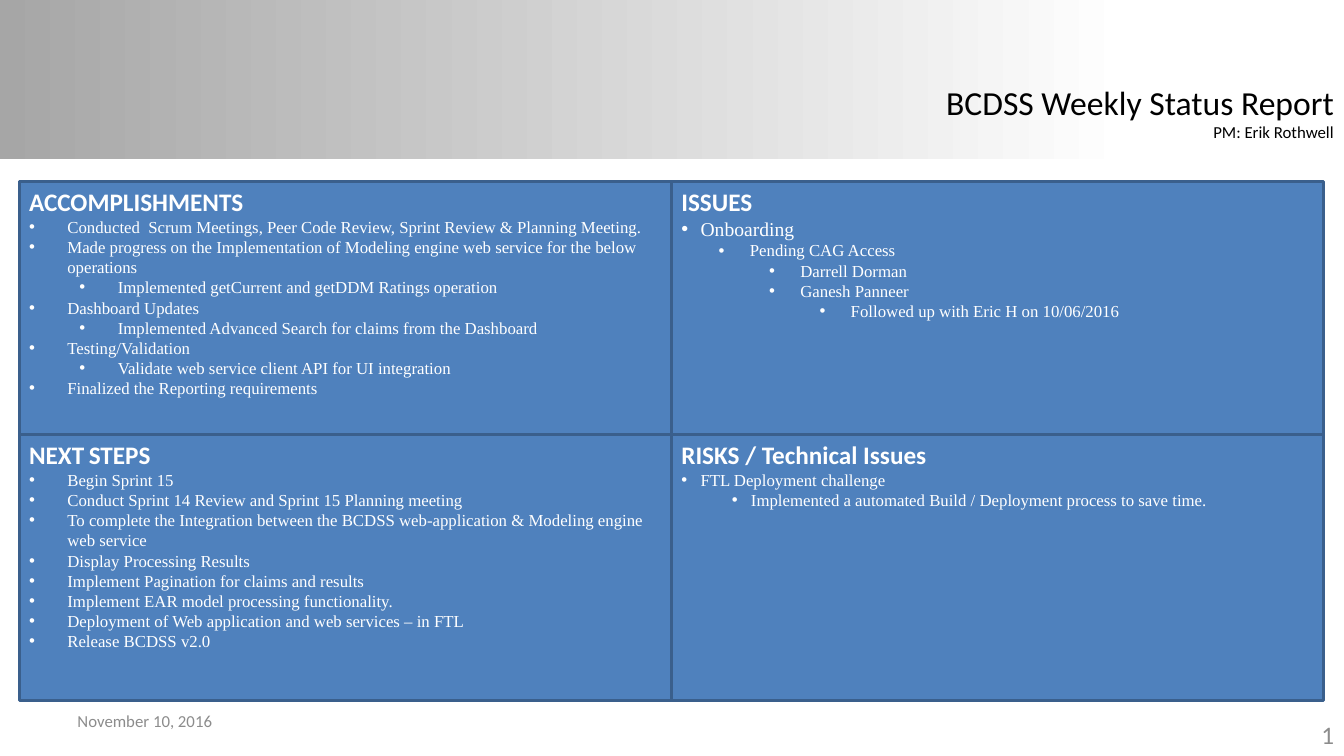
from dataclasses import dataclass

from lxml.etree import SubElement
from pptx import Presentation
from pptx.dml.color import RGBColor
from pptx.enum.shapes import MSO_SHAPE as Preset
from pptx.enum.text import MSO_ANCHOR as Anchor, MSO_AUTO_SIZE as AutoSize, PP_ALIGN as Align
from pptx.oxml.ns import qn
from pptx.slide import Slide
from pptx.text.text import TextFrame, _Paragraph as Paragraph
from pptx.util import Inches, Pt

WIDTH, HEIGHT = 13.33, 7.5
COLUMNS = (0.19, 6.66, 13.13)
ROWS = (1.8, 4.31, 6.95)
HEADING_FONT, BODY_FONT = "Calibri", "Times New Roman"
WHITE, BLACK, GRAY = "FFFFFF", "000000", "8C8C8C"
PANEL_FILL, PANEL_LINE, BAND_START = "4F81BD", "3A5F8C", "A6A6A6"
LEVEL_STEP = 0.5


@dataclass(frozen=True)
class Span:
    text: str
    size: float = 18


@dataclass(frozen=True)
class Item:
    text: str
    level: int = 0
    size: float = 12
    hang: float = 0.38
    base: float = 0.38


@dataclass(frozen=True)
class Panel:
    column: int
    row: int
    heading: tuple[Span, ...]
    items: tuple[Item, ...]


@dataclass(frozen=True)
class Footer:
    text: str
    left: float
    top: float
    size: float
    align: Align


PANELS = (
    Panel(0, 0, (Span("ACCOMPLISHMENTS"),), (
        Item("Conducted  Scrum Meetings, Peer Code Review, Sprint Review & Planning Meeting."),
        Item("Made progress on the Implementation of Modeling engine web service for the below operations"),
        Item("Implemented getCurrent and getDDM Ratings operation", 1),
        Item("Dashboard Updates"),
        Item("Implemented Advanced Search for claims from the Dashboard", 1),
        Item("Testing/Validation"),
        Item("Validate web service client API for UI integration", 1),
        Item("Finalized the Reporting requirements"),
    )),
    Panel(0, 1, (Span("NEXT"), Span(" ", 14), Span("STEPS")), (
        Item("Begin Sprint 15"),
        Item("Conduct Sprint 14 Review and Sprint 15 Planning meeting"),
        Item("To complete the Integration between the BCDSS web-application & Modeling engine web service"),
        Item("Display Processing Results"),
        Item("Implement Pagination for claims and results"),
        Item("Implement EAR model processing functionality."),
        Item("Deployment of Web application and web services – in FTL"),
        Item("Release BCDSS v2.0"),
    )),
    Panel(1, 0, (Span("ISSUES"),), (
        Item("Onboarding", size=14, hang=0.19, base=0.19),
        Item("Pending CAG Access", 1, hang=0.31, base=0.18),
        Item("Darrell Dorman", 2, hang=0.31, base=0.18),
        Item("Ganesh Panneer", 2, hang=0.31, base=0.18),
        Item("Followed up with Eric H on 10/06/2016", 3, hang=0.31, base=0.18),
    )),
    Panel(1, 1, (Span("RISKS / Technical Issues"),), (
        Item("FTL Deployment challenge", hang=0.19, base=0.19),
        Item("Implemented a automated Build / Deployment process to save time.", 1, hang=0.19, base=0.19),
    )),
)

FOOTERS = (
    Footer("November 10, 2016", 0.67, 6.95, 12, Align.LEFT),
    Footer("1", 10.22, 7.09, 18, Align.RIGHT),
)


def color(value: str) -> RGBColor:
    return RGBColor.from_string(value)


def add_span(para: Paragraph, text: str, size: float, font: str, ink: str, bold: bool = False) -> None:
    span = para.add_run()
    span.text = text
    span.font.size = Pt(size)
    span.font.name = font
    span.font.bold = bold
    span.font.color.rgb = color(ink)


def add_item(frame: TextFrame, item: Item) -> None:
    para = frame.add_paragraph()
    para.alignment = Align.LEFT
    para.level = item.level
    properties = para._p.get_or_add_pPr()
    properties.set("marL", str(Inches(item.base + item.level * LEVEL_STEP)))
    properties.set("indent", str(-Inches(item.hang)))
    SubElement(properties, qn("a:buFont")).set("typeface", "Arial")
    SubElement(properties, qn("a:buChar")).set("char", "•")
    add_span(para, item.text, item.size, BODY_FONT, WHITE)


def add_panel(page: Slide, panel: Panel) -> None:
    left, right = COLUMNS[panel.column:panel.column + 2]
    top, bottom = ROWS[panel.row:panel.row + 2]
    box = page.shapes.add_shape(
        Preset.RECTANGLE, Inches(left), Inches(top), Inches(right - left), Inches(bottom - top))
    box.shadow.inherit = False
    box.fill.solid()
    box.fill.fore_color.rgb = color(PANEL_FILL)
    box.line.color.rgb = color(PANEL_LINE)
    box.line.width = Pt(2)
    frame = box.text_frame
    frame.word_wrap = True
    frame.vertical_anchor = Anchor.TOP
    heading = frame.paragraphs[0]
    heading.alignment = Align.LEFT
    for span in panel.heading:
        add_span(heading, span.text, span.size, HEADING_FONT, WHITE, bold=True)
    for item in panel.items:
        add_item(frame, item)


def add_header(page: Slide) -> None:
    band = page.shapes.add_shape(Preset.RECTANGLE, 0, 0, Inches(WIDTH), Inches(1.58))
    band.shadow.inherit = False
    band.line.fill.background()
    band.fill.gradient()
    band.fill.gradient_angle = 0
    for stop, position, ink in zip(band.fill.gradient_stops, (0, 0.84), (BAND_START, WHITE)):
        stop.position = position
        stop.color.rgb = color(ink)

    title = page.shapes.title
    title.element.addprevious(band.element)
    title.left, title.top = Inches(9.25), Inches(0.76)
    title.width, title.height = Inches(4.08), Inches(0.71)
    frame = title.text_frame
    frame.word_wrap = False
    frame.auto_size = AutoSize.SHAPE_TO_FIT_TEXT
    frame.vertical_anchor = Anchor.TOP
    lines = (Span("BCDSS Weekly Status Report", 24), Span("PM: Erik Rothwell", 12))
    for number, line in enumerate(lines):
        para = frame.add_paragraph() if number else frame.paragraphs[0]
        para.alignment = Align.RIGHT
        add_span(para, line.text, line.size, HEADING_FONT, BLACK)


def add_footer(page: Slide, footer: Footer) -> None:
    box = page.shapes.add_textbox(Inches(footer.left), Inches(footer.top), Inches(3.11), Inches(0.4))
    frame = box.text_frame
    frame.word_wrap = True
    frame.vertical_anchor = Anchor.MIDDLE
    para = frame.paragraphs[0]
    para.alignment = footer.align
    add_span(para, footer.text, footer.size, HEADING_FONT, GRAY)


def main() -> None:
    deck = Presentation()
    deck.slide_width, deck.slide_height = Inches(WIDTH), Inches(HEIGHT)
    page = deck.slides.add_slide(deck.slide_layouts.get_by_name("Title Only"))
    add_header(page)
    for panel in PANELS:
        add_panel(page, panel)
    for footer in FOOTERS:
        add_footer(page, footer)
    deck.save("out.pptx")


if __name__ == "__main__":
    main()
